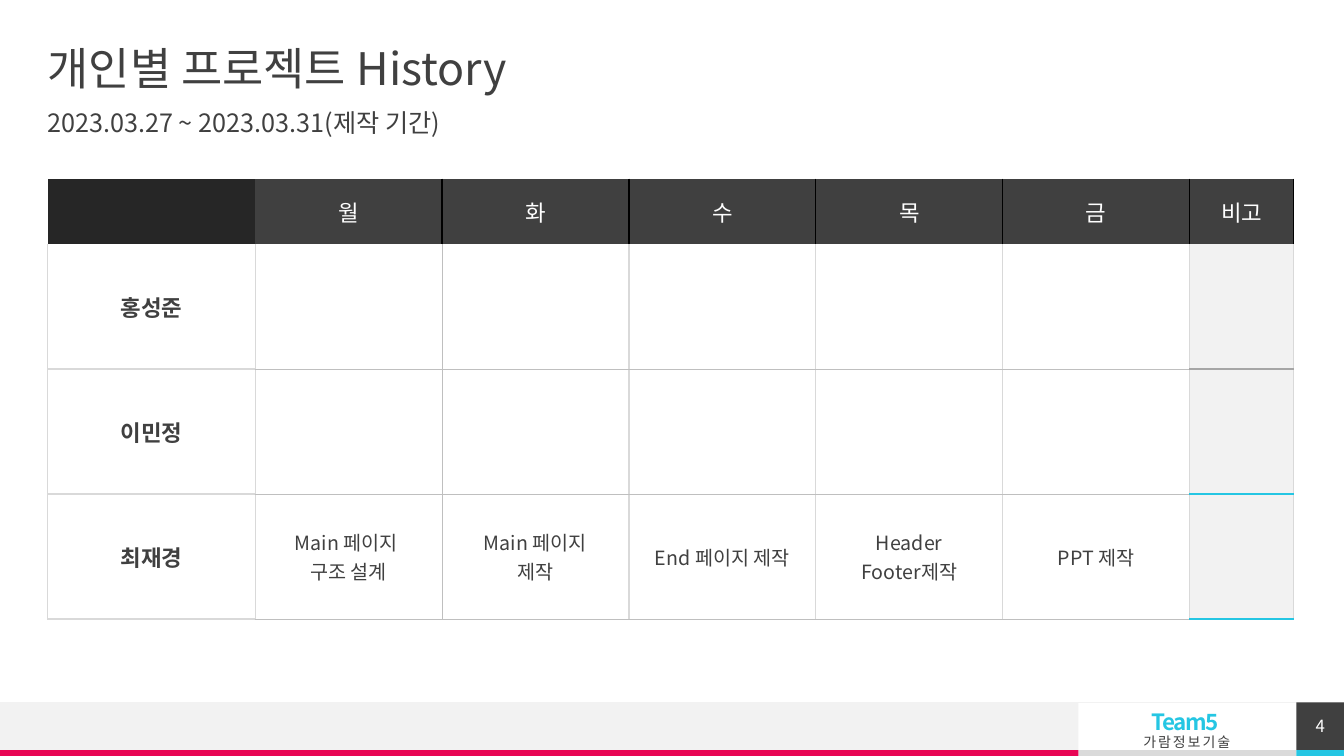
from dataclasses import dataclass
from typing import Optional

from lxml import etree
from pptx import Presentation
from pptx import util as u
from pptx.dml.color import RGBColor
from pptx.enum import shapes, text
from pptx.oxml.ns import qn


@dataclass(frozen=True)
class Theme:
    font: str = "Noto Sans CJK KR"
    ink: str = "404040"
    corner: str = "262626"
    black: str = "000000"
    white: str = "FFFFFF"
    pale: str = "F2F2F2"
    silver: str = "DADADA"
    grid: str = "D9D9D9"
    rule: str = "BFBFBF"
    remark_rule: str = "A6A6A6"
    cyan: str = "25C6E3"
    pink: str = "E80554"
    title: float = 32
    subtitle: float = 18
    heading: float = 16
    task: float = 14
    number: float = 12
    caption: float = 10


@dataclass(frozen=True)
class Box:
    left: float
    top: float
    width: float
    height: float
    fill: Optional[str] = None

    def lengths(self) -> tuple:
        return tuple(u.Cm(value) for value in (self.left, self.top, self.width, self.height))


@dataclass(frozen=True)
class Edge:
    color: str
    width: float = 1


@dataclass(frozen=True)
class Member:
    name: str
    tasks: tuple = ("",) * 5


THEME = Theme()
SLIDE_WIDTH, SLIDE_HEIGHT = 33.87, 19.05
MARGIN = 1.2
FOOTER_TOP, STRIPE_TOP = 17.7, 18.9
PANEL_LEFT, NUMBER_LEFT = 27.18, 32.67
BAR_HEIGHT = STRIPE_TOP - FOOTER_TOP
STRIPE_HEIGHT = SLIDE_HEIGHT - STRIPE_TOP
NUMBER_WIDTH = SLIDE_WIDTH - NUMBER_LEFT

FOOTER_BOXES = (
    Box(PANEL_LEFT, STRIPE_TOP, NUMBER_LEFT - PANEL_LEFT, STRIPE_HEIGHT, THEME.silver),
    Box(0, FOOTER_TOP, PANEL_LEFT, BAR_HEIGHT, THEME.pale),
    Box(0, STRIPE_TOP, PANEL_LEFT, STRIPE_HEIGHT, THEME.pink),
    Box(NUMBER_LEFT, STRIPE_TOP, NUMBER_WIDTH, STRIPE_HEIGHT, THEME.cyan),
)
NUMBER_BOX = Box(NUMBER_LEFT, FOOTER_TOP, NUMBER_WIDTH, BAR_HEIGHT, THEME.ink)

HEADINGS = ("", "월", "화", "수", "목", "금", "비고")
MEMBERS = (
    Member("홍성준"),
    Member("이민정"),
    Member("최재경", ("Main 페이지 \n구조 설계", "Main 페이지\n제작", "End 페이지 제작",
                   "Header\nFooter제작", "PPT 제작")),
)
COLUMN_WIDTHS = (5.23, *(4.71,) * 5, 2.62)
ROW_HEIGHTS = (1.65, *(3.15,) * len(MEMBERS))
LAST_COLUMN = len(HEADINGS) - 1
LAST_ROW = len(MEMBERS)


def add_text(paragraph, content: str, *, size: float, color: str = THEME.ink,
             bold: bool = False, tracking: float = 0, align=text.PP_ALIGN.LEFT,
             line_spacing=None) -> None:
    paragraph.alignment = align
    if line_spacing is not None:
        paragraph.line_spacing = line_spacing
    run = paragraph.add_run()
    run.text = content
    run.font.name = THEME.font
    run.font.size = u.Pt(size)
    run.font.bold = bold
    run.font.color.rgb = RGBColor.from_string(color)
    properties = run.font._element
    etree.SubElement(properties, qn("a:ea"), typeface=THEME.font)
    if tracking:
        properties.set("spc", str(round(tracking * 100)))


def prepare_frame(frame, *, anchor=text.MSO_ANCHOR.MIDDLE, wrap: bool = True, top: float = 0):
    frame.word_wrap = wrap
    frame.vertical_anchor = anchor
    frame.margin_left = frame.margin_right = frame.margin_bottom = 0
    frame.margin_top = u.Cm(top)
    return frame.paragraphs[0]


def add_box(slide, box: Box):
    shape = slide.shapes.add_shape(shapes.MSO_SHAPE.RECTANGLE, *box.lengths())
    shape.shadow.inherit = False
    shape.fill.solid()
    shape.fill.fore_color.rgb = RGBColor.from_string(box.fill)
    shape.line.fill.background()
    return shape


def add_footer(slide) -> None:
    for box in FOOTER_BOXES:
        add_box(slide, box)
    team = slide.shapes.add_textbox(*Box(28.45, 17.83, 2.92, 1.09).lengths())
    paragraph = prepare_frame(team.text_frame, wrap=False, top=0.3)
    centred = dict(align=text.PP_ALIGN.CENTER, line_spacing=u.Pt(11))
    add_text(paragraph, "Team5 ", size=THEME.heading, color=THEME.cyan, bold=True,
             tracking=-1, **centred)
    paragraph.add_line_break()
    add_text(paragraph, "가람정보기술", size=THEME.caption, tracking=1.4, **centred)
    line = slide.shapes.add_connector(shapes.MSO_CONNECTOR.STRAIGHT, u.Cm(SLIDE_WIDTH),
                                      u.Cm(FOOTER_TOP), 0, u.Cm(FOOTER_TOP))
    line.line.color.rgb = RGBColor.from_string(THEME.pale)
    line.line.width = u.Pt(0.5)
    etree.SubElement(line._element.spPr, qn("a:effectLst"))


def add_page_number(slide) -> None:
    paragraph = prepare_frame(add_box(slide, NUMBER_BOX).text_frame)
    add_text(paragraph, "4", size=THEME.number, color=THEME.white, align=text.PP_ALIGN.CENTER)


def add_titles(slide) -> None:
    width = SLIDE_WIDTH - 2 * MARGIN
    title = slide.shapes.add_textbox(*Box(MARGIN, 1.2, width, 1.2).lengths())
    add_text(prepare_frame(title.text_frame), "개인별 프로젝트 History",
             size=THEME.title, line_spacing=0.9)
    subtitle = slide.shapes.add_textbox(*Box(MARGIN, 2.8, width, 1).lengths())
    add_text(prepare_frame(subtitle.text_frame, anchor=text.MSO_ANCHOR.TOP),
             "2023.03.27 ~ 2023.03.31(제작 기간)", size=THEME.subtitle, line_spacing=0.9)


def vertical_edge(row: int, boundary: int) -> Optional[Edge]:
    if row == 0:
        return Edge(THEME.black) if boundary > 1 else None
    return Edge(THEME.rule, 0.25) if boundary == 2 else Edge(THEME.grid)


def horizontal_edge(boundary: int, column: int) -> Optional[Edge]:
    if boundary < 2:
        return None
    if column == 0:
        return Edge(THEME.grid)
    if column == LAST_COLUMN:
        return Edge(THEME.remark_rule if boundary == 2 else THEME.cyan)
    return Edge(THEME.rule, 0.25)


def cell_fill(row: int, column: int) -> Optional[str]:
    if row == 0:
        return THEME.ink if column else THEME.corner
    return {0: THEME.white, LAST_COLUMN: THEME.pale}.get(column)


def format_cell(cell, row: int, column: int) -> None:
    cell.vertical_anchor = text.MSO_ANCHOR.MIDDLE
    color = cell_fill(row, column)
    if color:
        cell.fill.solid()
        cell.fill.fore_color.rgb = RGBColor.from_string(color)
    else:
        cell.fill.background()
    edges = {"L": vertical_edge(row, column), "R": vertical_edge(row, column + 1),
             "T": horizontal_edge(row, column), "B": horizontal_edge(row + 1, column)}
    properties = cell._tc.get_or_add_tcPr()
    for position, (side, edge) in enumerate(edges.items()):
        line = etree.Element(qn(f"a:ln{side}"))
        if edge:
            line.set("w", str(u.Pt(edge.width)))
            solid = etree.SubElement(line, qn("a:solidFill"))
            etree.SubElement(solid, qn("a:srgbClr"), val=edge.color)
        else:
            etree.SubElement(line, qn("a:noFill"))
        properties.insert(position, line)


def add_history(slide) -> None:
    rows = (HEADINGS, *((member.name, *member.tasks, "") for member in MEMBERS))
    area = Box(MARGIN, 4.5, sum(COLUMN_WIDTHS), sum(ROW_HEIGHTS))
    table = slide.shapes.add_table(len(rows), len(HEADINGS), *area.lengths()).table
    table.first_row = table.horz_banding = False
    for column, width in zip(table.columns, COLUMN_WIDTHS):
        column.width = u.Cm(width)
    for row, height in zip(table.rows, ROW_HEIGHTS):
        row.height = u.Cm(height)
    for row, contents in enumerate(rows):
        for column, content in enumerate(contents):
            cell = table.cell(row, column)
            format_cell(cell, row, column)
            is_task = row > 0 and column > 0
            for index, line in enumerate(content.split("\n") if content else ()):
                frame = cell.text_frame
                paragraph = frame.add_paragraph() if index else frame.paragraphs[0]
                add_text(paragraph, line, size=THEME.task if is_task else THEME.heading,
                         color=THEME.ink if row else THEME.white,
                         bold=row > 0 and column == 0, align=text.PP_ALIGN.CENTER)


def main() -> None:
    presentation = Presentation()
    presentation.slide_width = u.Cm(SLIDE_WIDTH)
    presentation.slide_height = u.Cm(SLIDE_HEIGHT)
    slide = presentation.slides.add_slide(presentation.slide_layouts[6])
    add_footer(slide)
    add_titles(slide)
    add_history(slide)
    add_page_number(slide)
    presentation.save("out.pptx")


if __name__ == "__main__":
    main()
